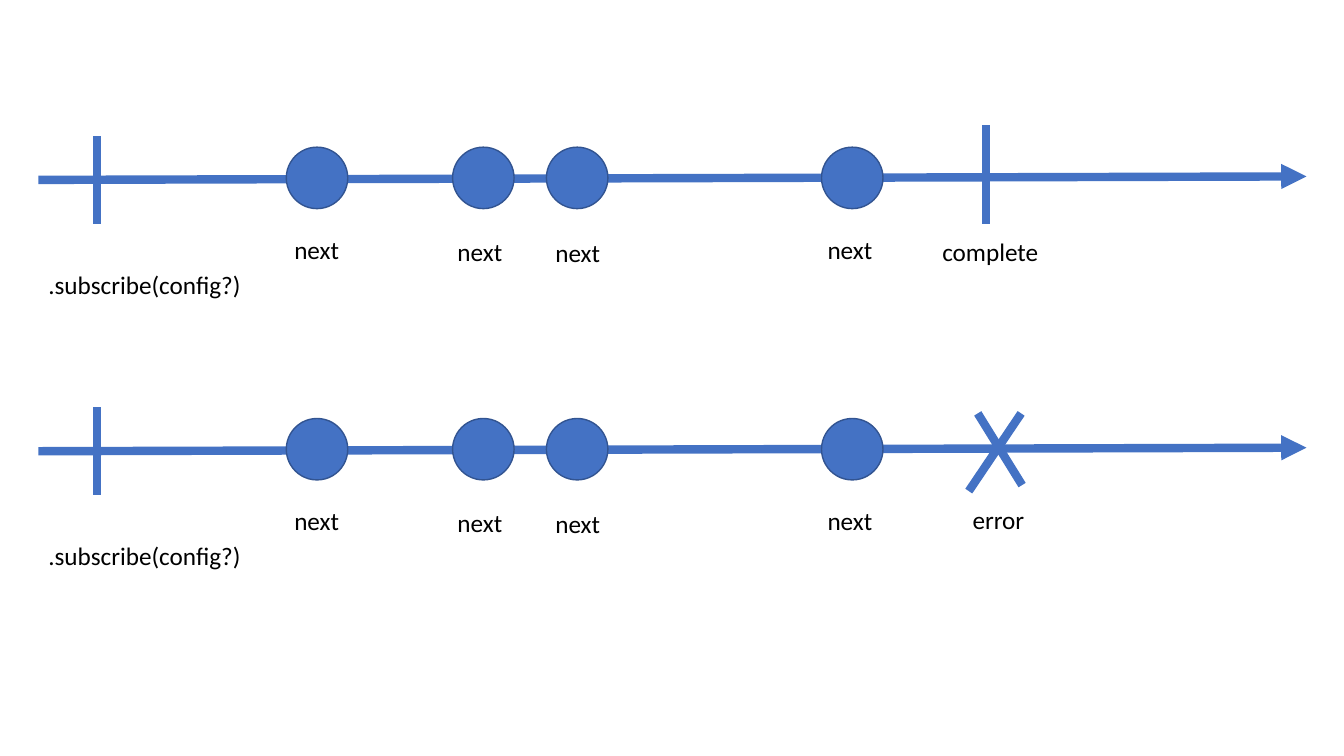
from dataclasses import dataclass

from lxml import etree
from pptx import Presentation
from pptx.dml.color import RGBColor
from pptx.enum.shapes import MSO_CONNECTOR, MSO_SHAPE
from pptx.enum.text import MSO_AUTO_SIZE
from pptx.oxml.ns import qn
from pptx.util import Pt

LINE = MSO_CONNECTOR.STRAIGHT
OVAL = MSO_SHAPE.OVAL
GROW = MSO_AUTO_SIZE.SHAPE_TO_FIT_TEXT


@dataclass(frozen=True)
class Theme:
    blue: RGBColor = RGBColor(0x44, 0x72, 0xC4)
    edge: RGBColor = RGBColor(0x32, 0x54, 0x91)
    ink: RGBColor = RGBColor(0, 0, 0)
    font: str = "Calibri"
    size: float = 18
    thick: float = 6
    thin: float = 1


@dataclass(frozen=True)
class Box:
    left: float
    top: float
    width: float


THEME = Theme()
DOT = 43.9
EVENTS = [(177.1, 175.7, 74.2), (295.9, 292.3, 75.6),
          (362.9, 362.2, 76.3), (559.4, 556.6, 74.2)]
COMPLETE = ([(676.8, 0, 676.8, 70.6)], ("complete", 638.6, 75.6, 84.2))
ERROR = ([(671, 12.2, 702.7, 63.4), (702, 12.2, 664.6, 67.7)],
         ("error", 660.2, 73.4, 51.8))


def stroke(slide, box, x1, y1, x2, y2, arrow=False):
    line = slide.shapes.add_connector(
        LINE, Pt(box.left + x1), Pt(box.top + y1),
        Pt(box.left + x2), Pt(box.top + y2))
    line.line.color.rgb = THEME.blue
    line.line.width = Pt(THEME.thick)
    if arrow:
        etree.SubElement(line.line._get_or_add_ln(), qn("a:tailEnd"), type="triangle")
    etree.SubElement(line._element.spPr, qn("a:effectLst"))


def label(slide, box, text, x, y, width):
    area = slide.shapes.add_textbox(
        Pt(box.left + x), Pt(box.top + y), Pt(width), Pt(29))
    frame = area.text_frame
    frame.word_wrap = False
    frame.auto_size = GROW
    run = frame.paragraphs[0].add_run()
    run.text = text
    run.font.name = THEME.font
    run.font.size = Pt(THEME.size)
    run.font.color.rgb = THEME.ink


def circle(slide, box, x, y):
    dot = slide.shapes.add_shape(
        OVAL, Pt(box.left + x), Pt(box.top + y), Pt(DOT), Pt(DOT))
    dot.shadow.inherit = False
    dot.fill.solid()
    dot.fill.fore_color.rgb = THEME.blue
    dot.line.color.rgb = THEME.edge
    dot.line.width = Pt(THEME.thin)


def stream(slide, box, ending):
    marks, caption = ending
    stroke(slide, box, 0, 39.2, box.width, 36.7, arrow=True)
    stroke(slide, box, 41.8, 7.9, 41.8, 70.6)
    label(slide, box, ".subscribe(config?)", 0, 99.2, 153.4)
    for x, text_x, text_y in EVENTS:
        circle(slide, box, x, 15.8)
        label(slide, box, "next", text_x, text_y, 46.8)
    for mark in marks:
        stroke(slide, box, *mark)
    label(slide, box, *caption)


def main():
    deck = Presentation()
    deck.slide_width, deck.slide_height = Pt(960), Pt(540)
    slide = deck.slides.add_slide(deck.slide_layouts[6])
    for row, ending in enumerate((COMPLETE, ERROR)):
        stream(slide, Box(27.4, 89.3 + row * 193.8, 905.8), ending)
    deck.save("out.pptx")


main()
